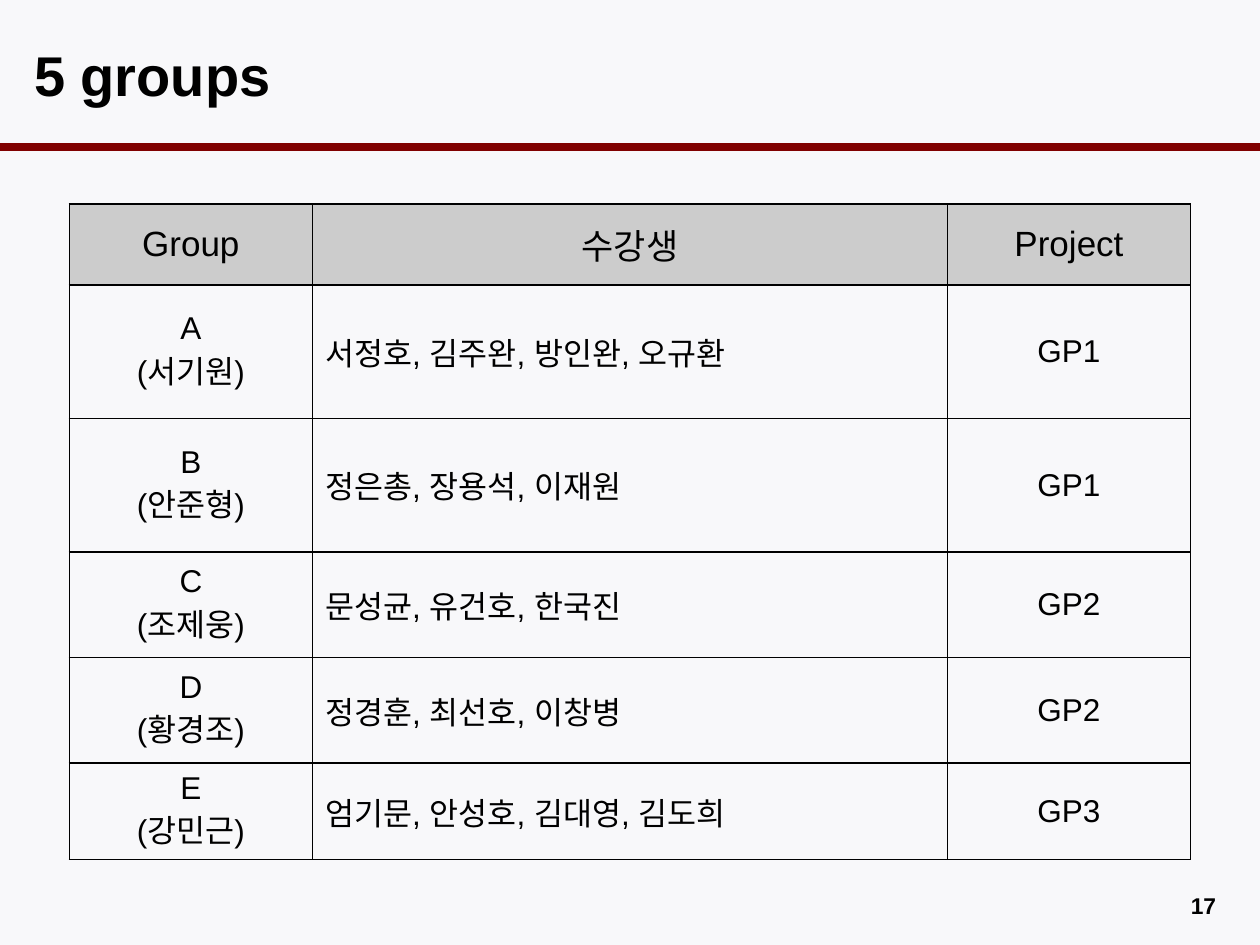
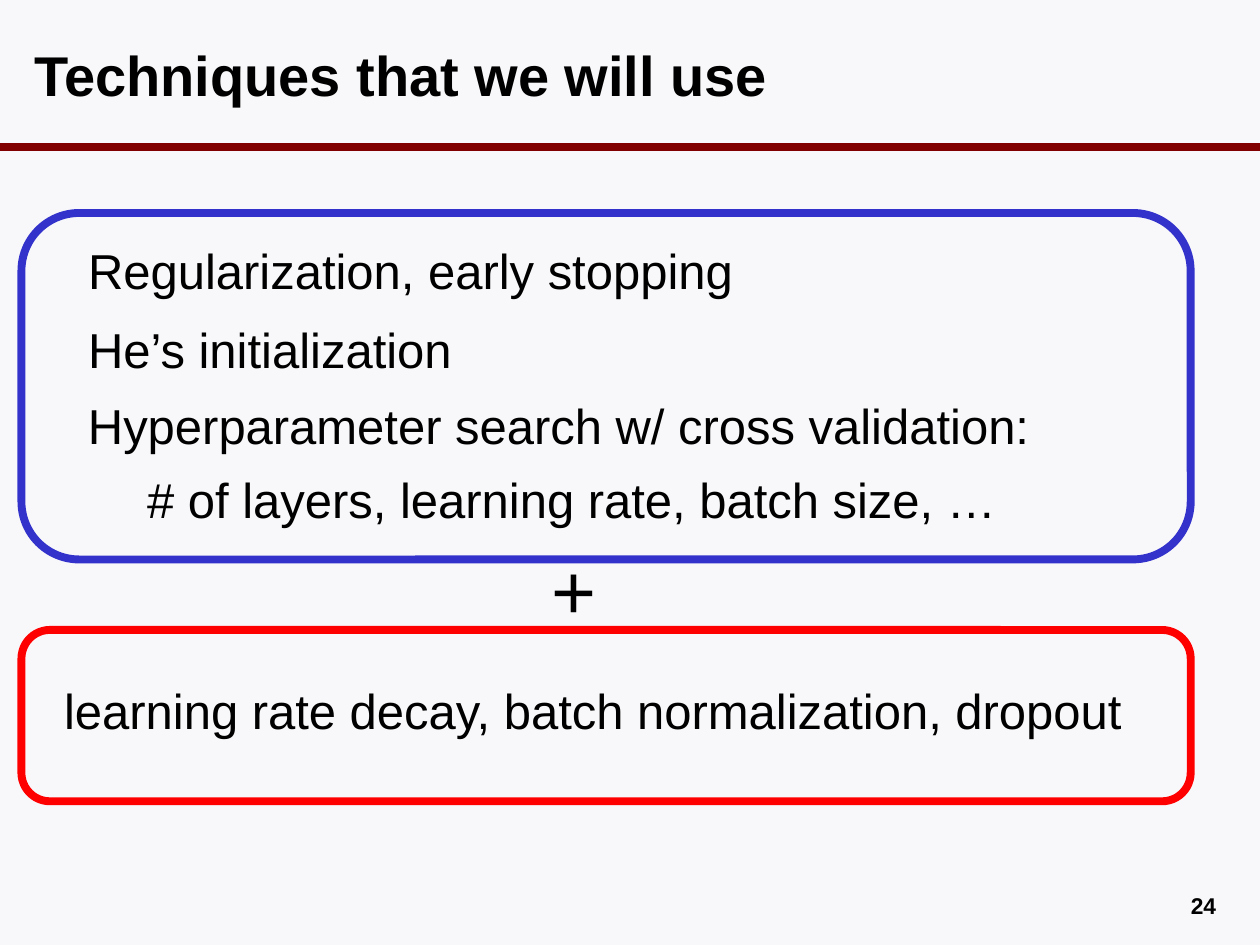
from dataclasses import dataclass

from lxml import etree
from pptx import Presentation
from pptx.dml.color import RGBColor
from pptx.enum.shapes import MSO_CONNECTOR, MSO_SHAPE
from pptx.enum.text import MSO_ANCHOR, MSO_AUTO_SIZE, PP_ALIGN
from pptx.oxml import parse_xml
from pptx.oxml.ns import nsdecls, qn
from pptx.slide import Slide
from pptx.util import Pt

# Colours and constants
BLACK = RGBColor(0, 0, 0)
PAPER = RGBColor(0xF8, 0xF8, 0xFA)
MAROON = RGBColor(0x80, 0, 0)
GRAY = RGBColor(0xCC, 0xCC, 0xCC)
BLUE = RGBColor(0x33, 0x33, 0xCC)
RED = RGBColor(0xFF, 0, 0)
LEFT, CENTER, RIGHT = PP_ALIGN.LEFT, PP_ALIGN.CENTER, PP_ALIGN.RIGHT
MIDDLE = MSO_ANCHOR.MIDDLE
FIXED, GROW = MSO_AUTO_SIZE.NONE, MSO_AUTO_SIZE.SHAPE_TO_FIT_TEXT
STRAIGHT, ROUNDED = MSO_CONNECTOR.STRAIGHT, MSO_SHAPE.ROUNDED_RECTANGLE

WIDTH, HEIGHT = 720, 540
RULE_Y = 84
RULE = 4.5
TITLE_BOX = (12.24, 12.24, 688.32, 59.76)


@dataclass
class Label:
    text: str
    box: tuple[float, float, float, float]
    size: float = 28
    bold: bool = False
    align: PP_ALIGN = LEFT
    wrap: bool = True


@dataclass
class Frame:
    top: float
    height: float
    color: RGBColor


@dataclass
class Group:
    name: str
    lead: str
    members: str
    project: str
    height: float


COLUMNS = {"Group": 139, "수강생": 362.8, "Project": 139}
HEAD_HEIGHT = 46.3
GROUPS = [
    Group("A", "서기원", "서정호, 김주완, 방인완, 오규환", "GP1", 76.2),
    Group("B", "안준형", "정은총, 장용석, 이재원", "GP1", 76.2),
    Group("C", "조제웅", "문성균, 유건호, 한국진", "GP2", 60.4),
    Group("D", "황경조", "정경훈, 최선호, 이창병", "GP2", 60.4),
    Group("E", "강민근", "엄기문, 안성호, 김대영, 김도희", "GP3", 55),
]

FRAMES = [Frame(121.68, 198, BLUE), Frame(360, 97.92, RED)]
LABELS = [
    Label("Regularization, early stopping", (43.2, 133.92, 398, 41)),
    Label("He’s initialization", (43.2, 179.28, 464, 41)),
    Label("Hyperparameter search w/ cross validation:", (43.2, 222.48, 579, 41)),
    Label("# of layers, learning rate, batch size, …", (77.04, 264.96, 579, 41)),
    Label("+", (308.16, 306.72, 40.3, 60.5), size=44, wrap=False),
    Label("learning rate decay, batch normalization, dropout",
          (29.52, 385.2, 637.2, 41)),
]


def apply(target: object, values: dict) -> None:
    for name, value in values.items():
        setattr(target, name, value)


def write(frame, text: str, size: float, align: PP_ALIGN, bold: bool = False) -> None:
    frame.text = text
    for para in frame.paragraphs:
        para.alignment = align
        apply(para.font, {"name": "Arial", "size": Pt(size), "bold": bold})
        para.font.color.rgb = BLACK


def add_label(slide: Slide, label: Label, fit: MSO_AUTO_SIZE = GROW) -> None:
    frame = slide.shapes.add_textbox(*map(Pt, label.box)).text_frame
    apply(frame, {"word_wrap": label.wrap, "auto_size": fit})
    write(frame, label.text, label.size, label.align, label.bold)


def add_page(prs, title: str, number: int) -> Slide:
    slide = prs.slides.add_slide(prs.slide_layouts[5])
    # Rule below the title
    line = slide.shapes.add_connector(STRAIGHT, 0, Pt(RULE_Y), Pt(WIDTH), Pt(RULE_Y))
    line.line.color.rgb = MAROON
    line.line.width = Pt(RULE)
    etree.SubElement(line.element.spPr, qn("a:effectLst"))
    # Title and page number
    head = slide.shapes.title
    apply(head, dict(zip(("left", "top", "width", "height"), map(Pt, TITLE_BOX))))
    apply(head.text_frame, {"vertical_anchor": MIDDLE, "auto_size": FIXED,
                            "word_wrap": True})
    write(head.text_frame, title, 32, LEFT, True)
    add_label(slide, Label(str(number), (534.24, 506.16, 167.76, 19.44),
                           13, True, RIGHT), FIXED)
    return slide


def add_border(cell) -> None:
    props = cell._tc.get_or_add_tcPr()
    for spot, side in enumerate(("lnL", "lnR", "lnT", "lnB")):
        props.insert(spot, parse_xml(
            f'<a:{side} {nsdecls("a")} w="{Pt(1)}"><a:solidFill>'
            f'<a:srgbClr val="{BLACK}"/></a:solidFill></a:{side}>'))


def add_groups(slide: Slide) -> None:
    rows = [list(COLUMNS)]
    rows += [[f"{g.name}\n({g.lead})", g.members, g.project] for g in GROUPS]
    heights = [HEAD_HEIGHT] + [g.height for g in GROUPS]
    widths = list(COLUMNS.values())
    table = slide.shapes.add_table(
        len(rows), len(widths), Pt(39.6), Pt(116.64),
        Pt(sum(widths)), Pt(sum(heights))).table
    apply(table, {"first_row": False, "horz_banding": False})
    for column, width in zip(table.columns, widths):
        column.width = Pt(width)
    for r, (texts, height) in enumerate(zip(rows, heights)):
        table.rows[r].height = Pt(height)
        for c, text in enumerate(texts):
            cell = table.cell(r, c)
            cell.vertical_anchor = MIDDLE
            align = LEFT if r and c == 1 else CENTER
            write(cell.text_frame, text, 18 if r else 20, align)
            if r:
                cell.fill.background()
            else:
                cell.fill.solid()
                cell.fill.fore_color.rgb = GRAY
            add_border(cell)


def add_frame(slide: Slide, frame: Frame) -> None:
    shape = slide.shapes.add_shape(
        ROUNDED, Pt(12.24), Pt(frame.top), Pt(668.16), Pt(frame.height))
    shape.shadow.inherit = False
    shape.fill.background()
    shape.line.color.rgb = frame.color
    shape.line.width = Pt(RULE)


def main() -> None:
    prs = Presentation()
    apply(prs, {"slide_width": Pt(WIDTH), "slide_height": Pt(HEIGHT)})
    fill = prs.slide_master.background.fill
    fill.solid()
    fill.fore_color.rgb = PAPER

    # Groups
    add_groups(add_page(prs, "5 groups", 17))

    # Techniques
    slide = add_page(prs, "Techniques that we will use", 24)
    for frame in FRAMES:
        add_frame(slide, frame)
    for label in LABELS:
        add_label(slide, label)

    prs.save("out.pptx")


if __name__ == "__main__":
    main()
